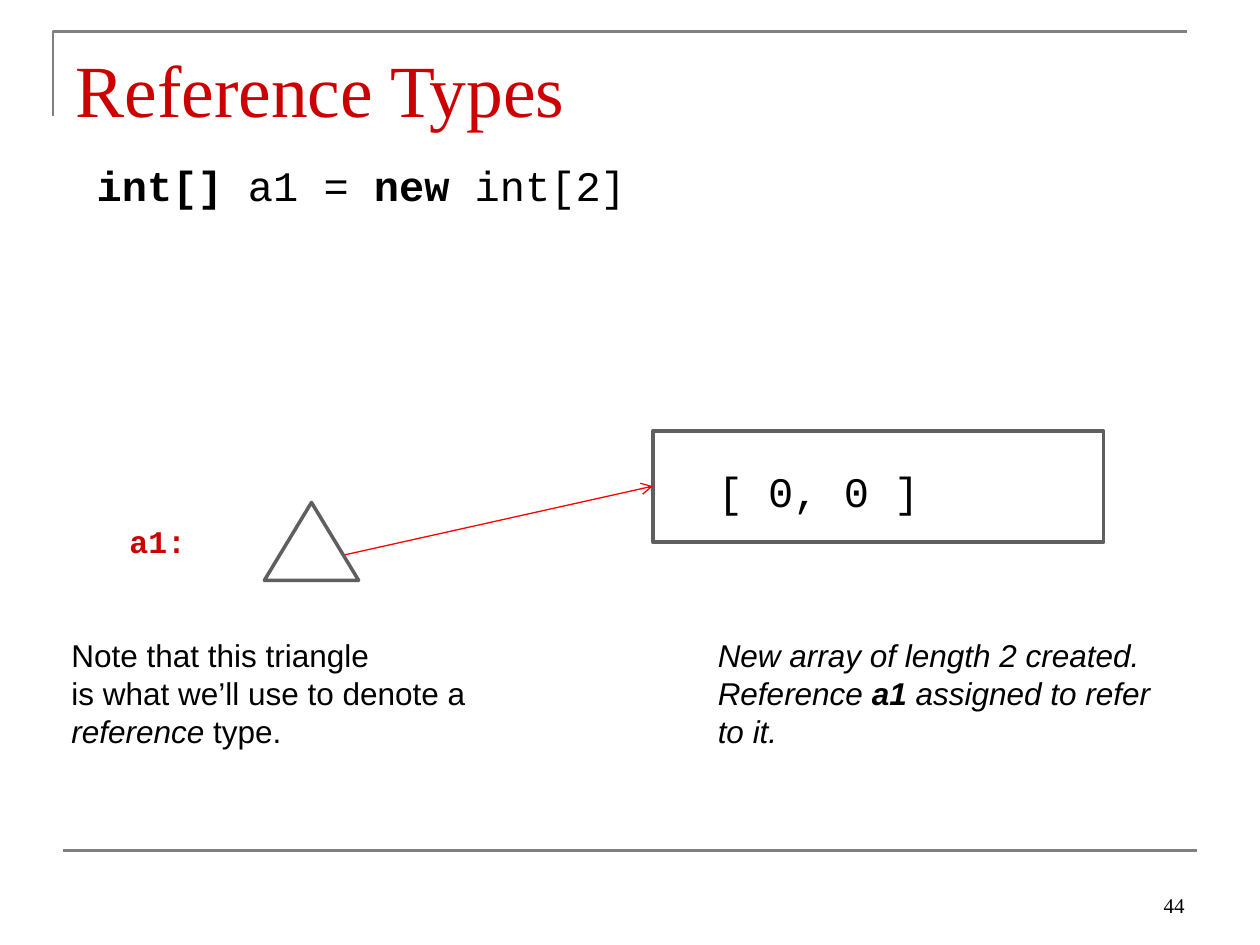
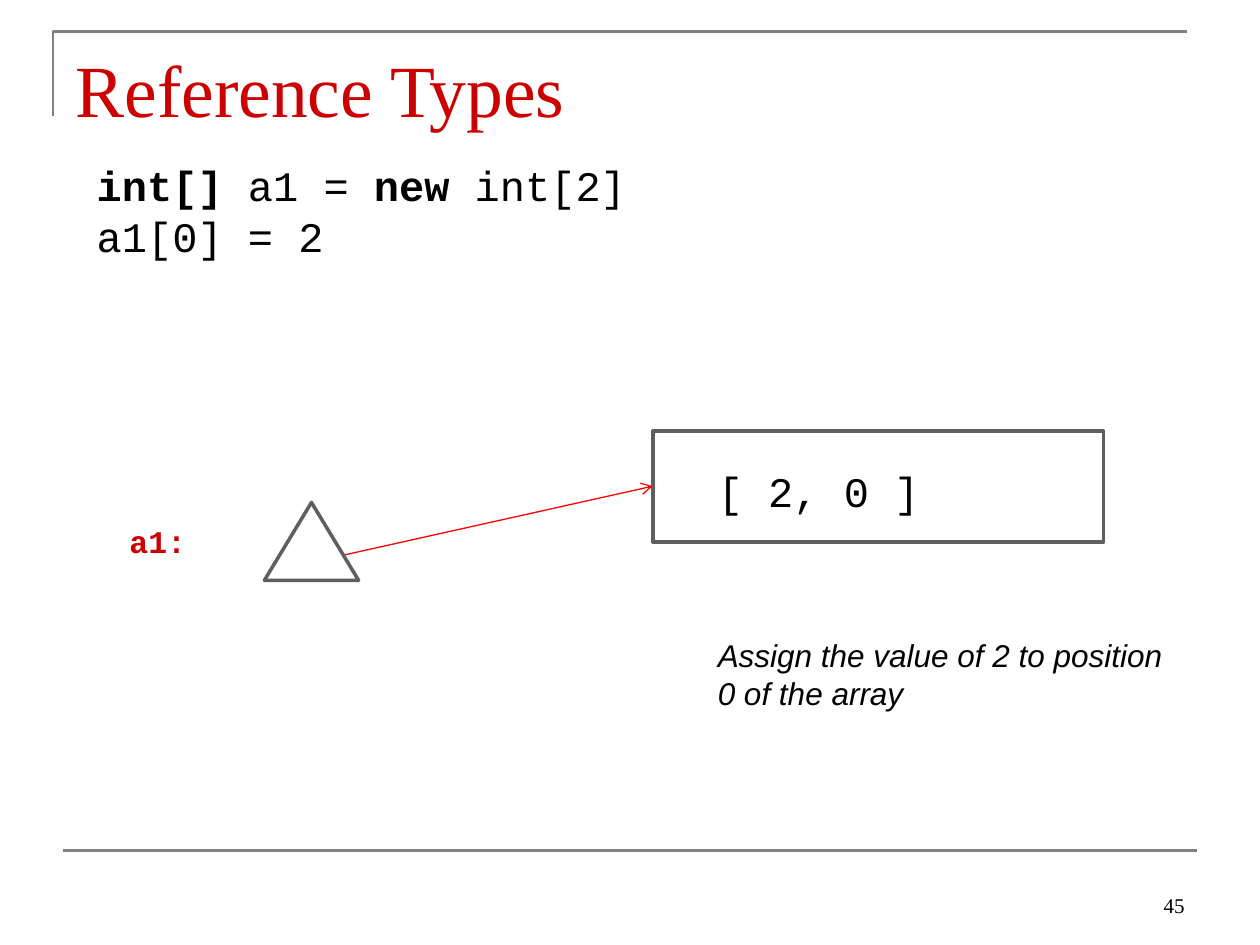
from lxml import etree
from pptx import Presentation
from pptx.dml.color import RGBColor
from pptx.enum.shapes import MSO_CONNECTOR as Connector, MSO_SHAPE as Preset
from pptx.enum.text import MSO_ANCHOR as Anchor, MSO_AUTO_SIZE as AutoSize, PP_ALIGN as Align
from pptx.oxml.ns import qn
from pptx.util import Cm, Pt

BLACK = RGBColor(0x00, 0x00, 0x00)
WHITE = RGBColor(0xFF, 0xFF, 0xFF)
TITLE_RED = RGBColor(0xCC, 0x00, 0x00)
ARROW_RED = RGBColor(0xFF, 0x00, 0x00)
RULE_GRAY = RGBColor(0x80, 0x80, 0x80)
OUTLINE_GRAY = RGBColor(0x5F, 0x5F, 0x5F)

SERIF, SANS, MONO = "Times New Roman", "Arial", "Courier New"
PLAIN, BOLD, ITALIC, BOLD_ITALIC = "", "b", "i", "bi"


class SlideWriter:
    """Holds the deck's style and the slide being filled."""

    def __init__(self, deck):
        self.deck = deck
        self.page = None

    def start(self, title, number):
        self.page = self.deck.slides.add_slide(self.deck.slide_layouts[5])
        self.frame()
        self.title(title)
        self.text(18.21, 17.35, 5.92, 1.27, [[(str(number), PLAIN)]],
                  SERIF, 12, align=Align.RIGHT, anchor=Anchor.BOTTOM, wrap=True)

    def frame(self):
        # Corner rule at the top, straight rule at the bottom
        builder = self.page.shapes.build_freeform(Cm(1.07), Cm(2.34))
        builder.add_line_segments([(Cm(1.07), Cm(0.64)), (Cm(23.93), Cm(0.64))], close=False)
        self.outline(builder.convert_to_shape(), RULE_GRAY, 1.5)
        self.line((1.27, 17.15), (24.13, 17.15), RULE_GRAY, 1.5)

    def title(self, title):
        box = self.page.shapes.title
        box.left, box.top, box.width, box.height = Cm(1.27), Cm(0.76), Cm(22.86), Cm(3.18)
        frame = box.text_frame
        frame.text = title
        frame.auto_size = AutoSize.NONE
        frame.vertical_anchor = Anchor.TOP
        para = frame.paragraphs[0]
        para.alignment = Align.LEFT
        self.font(para.runs[0], SERIF, 42, TITLE_RED)

    def font(self, span, name, size, color, style=PLAIN):
        span.font.name = name
        span.font.size = Pt(size)
        span.font.color.rgb = color
        span.font.bold = "b" in style
        span.font.italic = "i" in style

    def text(self, left, top, width, height, lines, name, size, color=BLACK,
             align=Align.LEFT, anchor=Anchor.TOP, wrap=False):
        """Each line is a list of (words, style) pairs."""
        box = self.page.shapes.add_textbox(Cm(left), Cm(top), Cm(width), Cm(height))
        frame = box.text_frame
        frame.word_wrap = wrap
        frame.auto_size = AutoSize.NONE
        frame.vertical_anchor = anchor
        if name == MONO:
            frame.margin_top = Cm(0.21)
        for index, line in enumerate(lines):
            para = frame.add_paragraph() if index else frame.paragraphs[0]
            para.alignment = align
            para.line_spacing = Pt(round(size * 1.207, 1))
            for words, style in line:
                span = para.add_run()
                span.text = words
                self.font(span, name, size, color, style)

    def code(self, lines):
        self.text(1.7, 3, 11.28, 1.03 * (len(lines) + 1), lines, MONO, 24)

    def note(self, left, width, lines):
        self.text(left, 12.7, width, 0.25 + 0.77 * len(lines), lines, SANS, 18)

    def outline(self, shape, color, weight, fill=None):
        shape.shadow.inherit = False
        if fill is None:
            shape.fill.background()
        else:
            shape.fill.solid()
            shape.fill.fore_color.rgb = fill
        shape.line.color.rgb = color
        shape.line.width = Pt(weight)

    def shape(self, preset, left, top, width, height, fill=None):
        shape = self.page.shapes.add_shape(preset, Cm(left), Cm(top), Cm(width), Cm(height))
        self.outline(shape, OUTLINE_GRAY, 2, fill)

    def line(self, start, end, color, weight, arrow=False):
        ends = [Cm(value) for value in (*start, *end)]
        line = self.page.shapes.add_connector(Connector.STRAIGHT, *ends)
        line.line.color.rgb = color
        line.line.width = Pt(weight)
        if arrow:
            etree.SubElement(line.line._get_or_add_ln(), qn("a:tailEnd"), type="arrow")
        etree.SubElement(line._element.spPr, qn("a:effectLst"))

    def reference(self, value):
        # Variable name, triangle for the reference, arrow to the array
        self.text(2.36, 10.31, 1.65, 1.02, [[("a1:", BOLD)]], MONO, 18, TITLE_RED)
        self.shape(Preset.RECTANGLE, 13.16, 8.69, 9.09, 2.24)
        self.line((6.3, 11.33), (13.16, 9.8), ARROW_RED, 0.75, arrow=True)
        self.shape(Preset.ISOSCELES_TRIANGLE, 5.33, 10.13, 1.9, 1.57, WHITE)
        self.text(14.22, 9.17, 7.62, 1.27, [[(value, PLAIN)]], MONO, 24, wrap=True)


deck = Presentation()
deck.slide_width, deck.slide_height = Cm(25.4), Cm(19.05)
writer = SlideWriter(deck)
declaration = [("int[]", BOLD), (" a1 = ", PLAIN), ("new ", BOLD), ("int[2]", PLAIN)]

# Slide 44: the array is created
writer.start("Reference Types", 44)
writer.reference("[ 0, 0 ]")
writer.code([declaration])
writer.note(14.22, 9.32, [
    [("New array of length 2 created.", ITALIC)],
    [("Reference ", ITALIC), ("a1 ", BOLD_ITALIC), ("assigned to refer", ITALIC)],
    [("to it.", ITALIC)],
])
writer.note(1.19, 8.53, [
    [("Note that this triangle", PLAIN)],
    [("is what we\u2019ll use to denote a", PLAIN)],
    [("reference", ITALIC), (" type.", PLAIN)],
])

# Slide 45: an element is assigned
writer.start("Reference Types", 45)
writer.reference("[ 2, 0 ]")
writer.code([declaration, [("a1[0] = 2", PLAIN)]])
writer.note(14.22, 9.55, [
    [("Assign the value of 2 to position", ITALIC)],
    [("0 of the array", ITALIC)],
])

deck.save("out.pptx")
